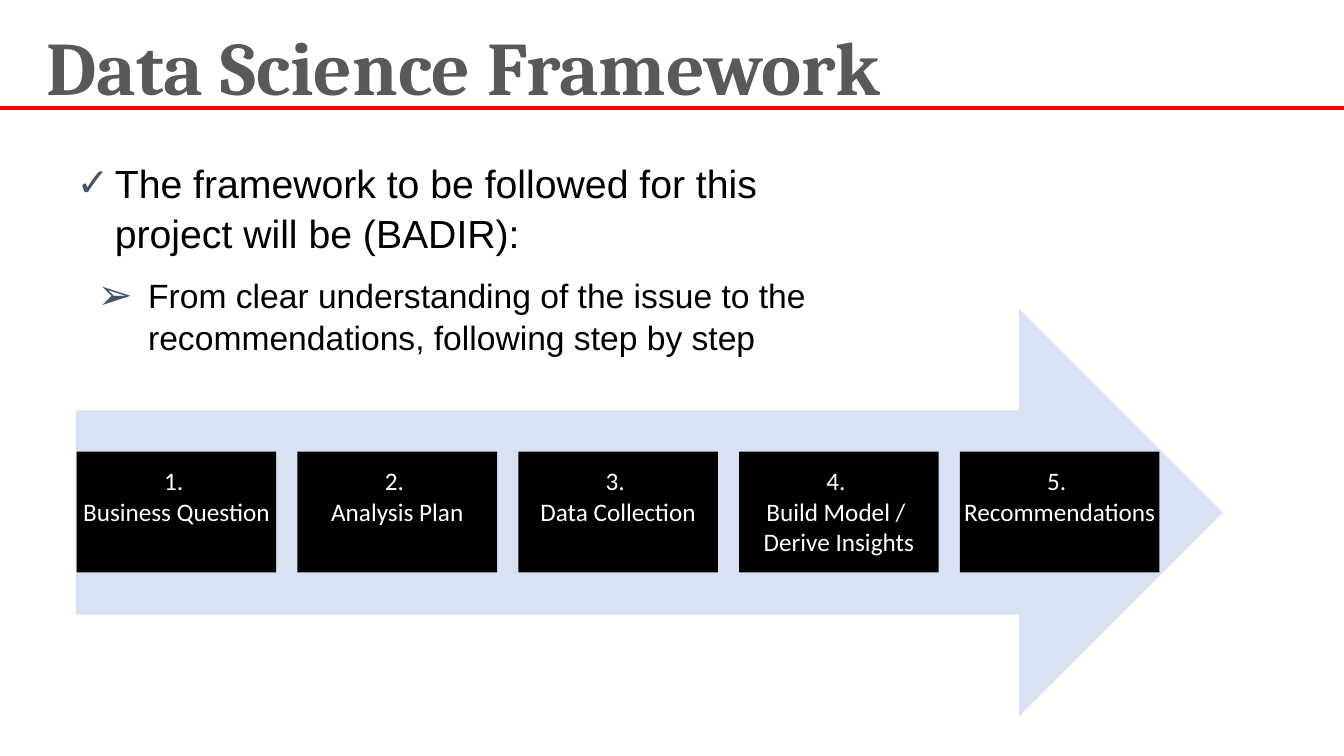
"""Build the Data Science Framework slide with its five-step arrow."""
from dataclasses import dataclass

from lxml.etree import SubElement
from pptx import Presentation
from pptx.dml.color import RGBColor
from pptx.enum.shapes import MSO_CONNECTOR, MSO_SHAPE
from pptx.enum.text import MSO_ANCHOR, PP_ALIGN
from pptx.oxml.ns import qn
from pptx.util import Inches, Pt


@dataclass(frozen=True)
class Theme:
    """Colours, fonts and type sizes of the slide."""

    heading: str = "595959"
    rule: str = "FF0000"
    arrow: str = "4472C4"
    step: str = "000000"
    step_text: str = "FFFFFF"
    body: str = "000000"
    bullet: str = "44546A"
    heading_font: str = "Cambria"
    body_font: str = "Arial"
    step_font: str = "Calibri"
    heading_size: int = 54
    body_sizes: tuple = (28, 24)
    step_size: int = 18


class SlideBuilder:
    """Draw themed elements on one slide."""

    def __init__(self, slide, theme):
        self.slide = slide
        self.theme = theme

    def style(self, paragraph, font, size, color, bold=False):
        """Format every run of a paragraph."""
        for run in paragraph.runs:
            run.font.name = font
            run.font.size = Pt(size)
            run.font.bold = bold
            run.font.color.rgb = RGBColor.from_string(color)

    def heading(self, text, left, top, width, height):
        """Place and format the title placeholder."""
        title = self.slide.shapes.title
        title.left, title.top = Inches(left), Inches(top)
        title.width, title.height = Inches(width), Inches(height)
        frame = title.text_frame
        frame.text = text
        frame.word_wrap = True
        frame.vertical_anchor = MSO_ANCHOR.TOP
        paragraph = frame.paragraphs[0]
        paragraph.alignment = PP_ALIGN.LEFT
        paragraph.line_spacing = 1.19
        theme = self.theme
        self.style(paragraph, theme.heading_font, theme.heading_size, theme.heading, True)

    def rule(self, y, width):
        """Draw the full-width line under the title."""
        line = self.slide.shapes.add_connector(
            MSO_CONNECTOR.STRAIGHT, 0, Inches(y), Inches(width), Inches(y))
        line.line.color.rgb = RGBColor.from_string(self.theme.rule)
        line.line.width = Pt(3)
        SubElement(line._element.spPr, qn("a:effectLst"))

    def block(self, kind, color, left, top, width, height):
        """Draw a filled shape without outline."""
        shape = self.slide.shapes.add_shape(
            kind, Inches(left), Inches(top), Inches(width), Inches(height))
        shape.shadow.inherit = False
        shape.fill.solid()
        shape.fill.fore_color.rgb = RGBColor.from_string(color)
        shape.line.fill.background()
        return shape

    def arrow(self, left, top, width, height):
        """Draw the translucent arrow behind the steps."""
        arrow = self.block(
            MSO_SHAPE.RIGHT_ARROW, self.theme.arrow, left, top, width, height)
        color = arrow._element.spPr.find(qn("a:solidFill")).find(qn("a:srgbClr"))
        SubElement(color, qn("a:alpha"), val="20000")

    def step(self, text, left, top, width, height):
        """Draw one step box with its number and name."""
        step = self.block(
            MSO_SHAPE.RECTANGLE, self.theme.step, left, top, width, height)
        frame = step.text_frame
        frame.text = text
        frame.word_wrap = False
        frame.vertical_anchor = MSO_ANCHOR.TOP
        frame.margin_top = Inches(0.14)
        for paragraph in frame.paragraphs:
            paragraph.alignment = PP_ALIGN.CENTER
            self.style(paragraph, self.theme.step_font, self.theme.step_size, self.theme.step_text)

    def bullets(self, items, left, top, width, height):
        """Add bulleted text, one level deeper with each item."""
        box = self.slide.shapes.add_textbox(
            Inches(left), Inches(top), Inches(width), Inches(height))
        frame = box.text_frame
        frame.word_wrap = True
        frame.margin_left = frame.margin_right = 0
        frame.margin_top = frame.margin_bottom = 0
        frame.text = "\n".join(text for text, *_ in items)
        for level, (paragraph, item) in enumerate(zip(frame.paragraphs, items)):
            _, mark, scale, margin, hanging = item
            paragraph.level = level
            paragraph.space_after = Pt(12)
            paragraph.line_spacing = 1.05
            self.style(paragraph, self.theme.body_font, self.theme.body_sizes[level], self.theme.body)
            properties = paragraph._p.get_or_add_pPr()
            properties.set("marL", str(Inches(margin)))
            properties.set("indent", str(-Inches(hanging)))
            color = SubElement(properties, qn("a:buClr"))
            SubElement(color, qn("a:srgbClr"), val=self.theme.bullet)
            SubElement(properties, qn("a:buSzPct"), val=str(scale * 1000))
            SubElement(properties, qn("a:buFont"), typeface=self.theme.body_font)
            SubElement(properties, qn("a:buChar"), char=mark)


STEPS = (
    "Business Question",
    "Analysis Plan",
    "Data Collection",
    "Build Model / \nDerive Insights",
    "Recommendations",
)
POINTS = (
    ("The framework to be followed for this project will be (BADIR):",
     "✓", 100, 0.38, 0.38),
    ("From clear understanding of the issue to the recommendations, following step by step",
     "➢", 125, 0.71, 0.5),
)


def main():
    """Compose and save the slide."""
    deck = Presentation()
    deck.slide_width, deck.slide_height = Inches(13.33), Inches(7.5)
    builder = SlideBuilder(deck.slides.add_slide(deck.slide_layouts[5]), Theme())
    builder.rule(1.07, 13.33)
    builder.heading("Data Science Framework", 0.36, -0.02, 12.47, 1.08)
    builder.arrow(0.75, 3.06, 11.38, 4.05)
    first_left, pitch = 0.76, 2.19
    for index, name in enumerate(STEPS):
        builder.step(f"{index + 1}. \n{name}", first_left + index * pitch, 4.48, 1.98, 1.2)
    builder.bullets(POINTS, 0.76, 1.56, 7.54, 1.92)
    deck.save("out.pptx")


if __name__ == "__main__":
    main()
